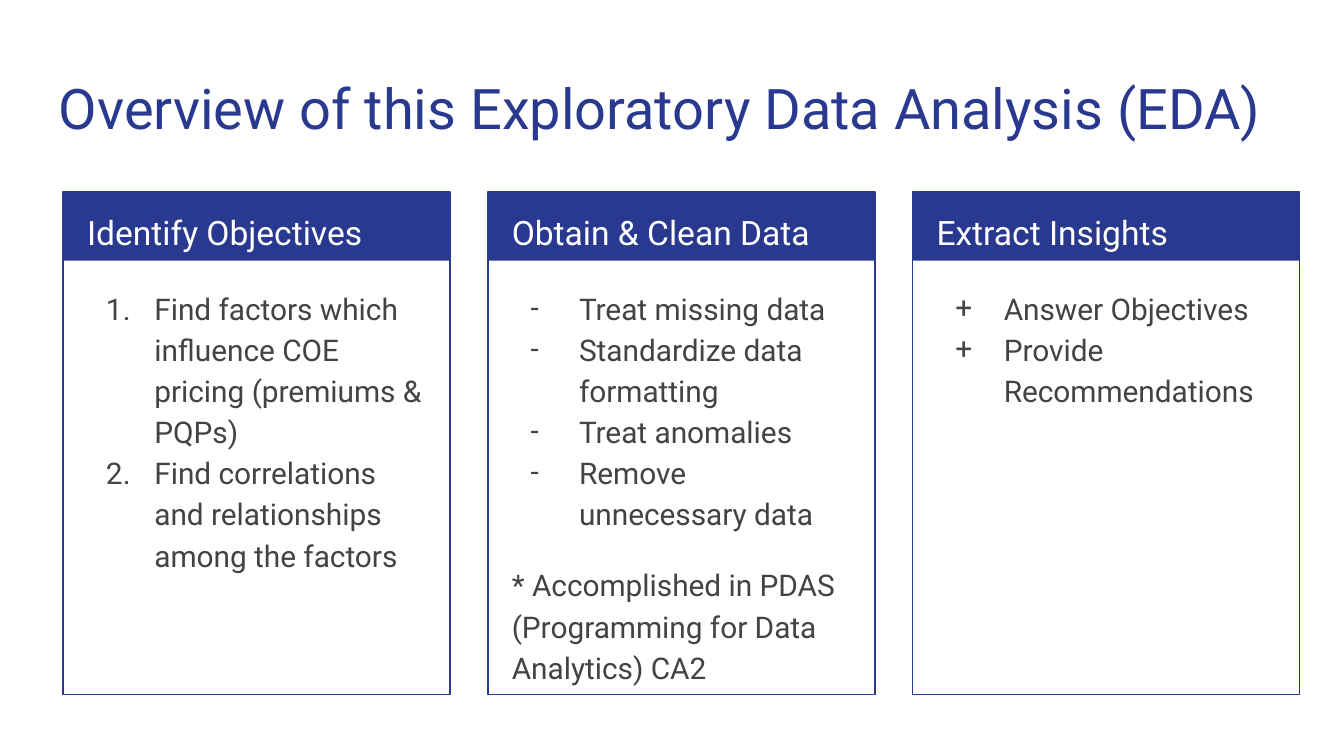
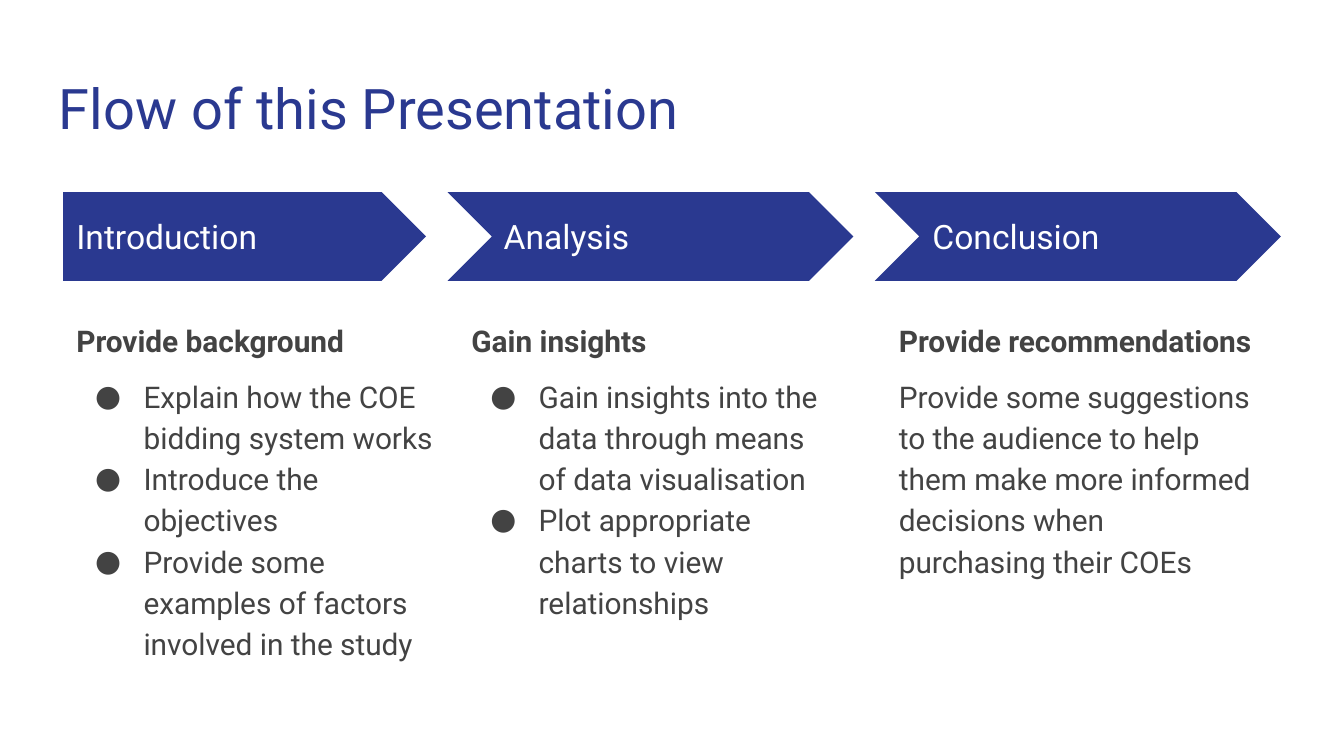
from dataclasses import dataclass

from lxml import etree
from pptx import Presentation
from pptx.dml.color import RGBColor
from pptx.enum import shapes, text
from pptx.oxml import ns
from pptx.util import Inches, Pt


@dataclass(frozen=True)
class Theme:
    font: str = "Roboto"
    blue: RGBColor = RGBColor(0x2A, 0x39, 0x90)
    gray: RGBColor = RGBColor(0x43, 0x43, 0x43)
    white: RGBColor = RGBColor(0xFF, 0xFF, 0xFF)
    title: int = 30
    head: int = 18
    body: int = 16


look = Theme()
forms = {
    "title": ({"size": Pt(look.title)}, look.blue, {}),
    "head": ({"size": Pt(look.head)}, look.white, {"line_spacing": 1.15}),
    "label": ({"size": Pt(look.head)}, look.white, {}),
    "lead": ({"size": Pt(look.body), "bold": True}, look.gray, {"line_spacing": 1.15}),
    "body": ({"size": Pt(look.body)}, look.gray, {"line_spacing": 1.15}),
}


def draw(tree, kind, box, fill=True):
    shape = tree.add_shape(kind, *map(Inches, box))
    shape.shadow.inherit = False
    if fill:
        shape.fill.solid()
        shape.fill.fore_color.rgb = look.blue
        shape.line.fill.background()
    else:
        shape.fill.background()
        shape.line.color.rgb = look.blue
        shape.line.width = Pt(0.75)


def write(slide, box, rows, anchor=text.MSO_ANCHOR.TOP):
    frame = slide.shapes.add_textbox(*map(Inches, box)).text_frame
    frame.word_wrap = True
    frame.vertical_anchor = anchor
    for side in ("left", "top", "right", "bottom"):
        setattr(frame, f"margin_{side}", Inches(0.1))
    for i, (form, words, mark, gap) in enumerate(rows):
        para = frame.add_paragraph() if i else frame.paragraphs[0]
        run = para.add_run()
        run.text = words
        run.font.name = look.font
        style, color, space = forms[form]
        run.font.color.rgb = color
        for key, value in style.items():
            setattr(run.font, key, value)
        for key, value in {**space, "space_before": Pt(gap)}.items():
            setattr(para, key, value)
        if mark:
            prop = para._p.get_or_add_pPr()
            prop.set("marL", str(Inches(0.5)))
            prop.set("indent", str(Inches(-0.36)))
            tint = etree.SubElement(prop, ns.qn("a:buClr"))
            etree.SubElement(tint, ns.qn("a:srgbClr"), val=str(look.gray))
            etree.SubElement(prop, ns.qn("a:buFont"), typeface=look.font)
            if mark == "1.":
                etree.SubElement(prop, ns.qn("a:buAutoNum"), type="arabicPeriod")
            else:
                etree.SubElement(prop, ns.qn("a:buChar"), char=mark)


deck = Presentation()
deck.slide_width, deck.slide_height = Inches(10), Inches(5.625)
plan, flow = [deck.slides.add_slide(deck.slide_layouts[6]) for _ in range(2)]

titles = (
    (plan, "Overview of this Exploratory Data Analysis (EDA)"),
    (flow, "Flow of this Presentation"),
)
for slide, title in titles:
    write(slide, (0.34, 0.45, 9.32, 0.66), [("title", title, None, 0)])

top = 1.43
cards = (
    ("Identify Objectives", "1.", (
        "Find factors which influence COE pricing (premiums & PQPs)",
        "Find correlations and relationships among the factors",
    ), None),
    ("Obtain & Clean Data", "-", (
        "Treat missing data",
        "Standardize data formatting",
        "Treat anomalies",
        "Remove unnecessary data",
    ), "* Accomplished in PDAS (Programming for Data Analytics) CA2"),
    ("Extract Insights", "+", ("Answer Objectives", "Provide Recommendations"), None),
)
for i, (head, mark, items, note) in enumerate(cards):
    left = 0.47 + 3.16 * i
    card = plan.shapes.add_group_shape().shapes
    draw(card, shapes.MSO_SHAPE.RECTANGLE, (left, top, 2.88, 0.51))
    draw(card, shapes.MSO_SHAPE.RECTANGLE, (left, top, 2.88, 3.74), False)
    write(plan, (left + 0.08, top, 2.73, 0.5), [("head", head, None, 0)])
    rows = [("body", item, mark, 0) for item in items]
    if note:
        rows.append(("body", note, None, 16))
    write(plan, (left + 0.08, 2.02, 2.71, 3.06), rows)

home, arrow = shapes.MSO_SHAPE.PENTAGON, shapes.MSO_SHAPE.CHEVRON
steps = (
    (home, 0.47, 2.7, 0, 0, "Introduction", "Provide background", "●", (
        "Explain how the COE bidding system works",
        "Introduce the objectives",
        "Provide some examples of factors involved in the study",
    )),
    (arrow, 3.33, 3.02, 0.32, 0.08, "Analysis", "Gain insights", "●", (
        "Gain insights into the data through means of data visualisation",
        "Plot appropriate charts to view relationships",
    )),
    (arrow, 6.51, 3.02, 0.33, 0.08, "Conclusion", "Provide recommendations", None, (
        "Provide some suggestions to the audience to help them make more "
        "informed decisions when purchasing their COEs",
    )),
)
for kind, left, wide, inset, shift, label, lead, mark, items in steps:
    draw(flow.shapes, kind, (left, top, wide, 0.66))
    write(flow, (left + inset, 1.59, 2.47, 0.34), [("label", label, None, 0)],
          text.MSO_ANCHOR.MIDDLE)
    rows = [("lead", lead, None, 0)]
    rows += [("body", item, mark, 0 if i else 8) for i, item in enumerate(items)]
    write(flow, (left + shift, 2.26, 2.86, 2.9), rows)

deck.save("out.pptx")
